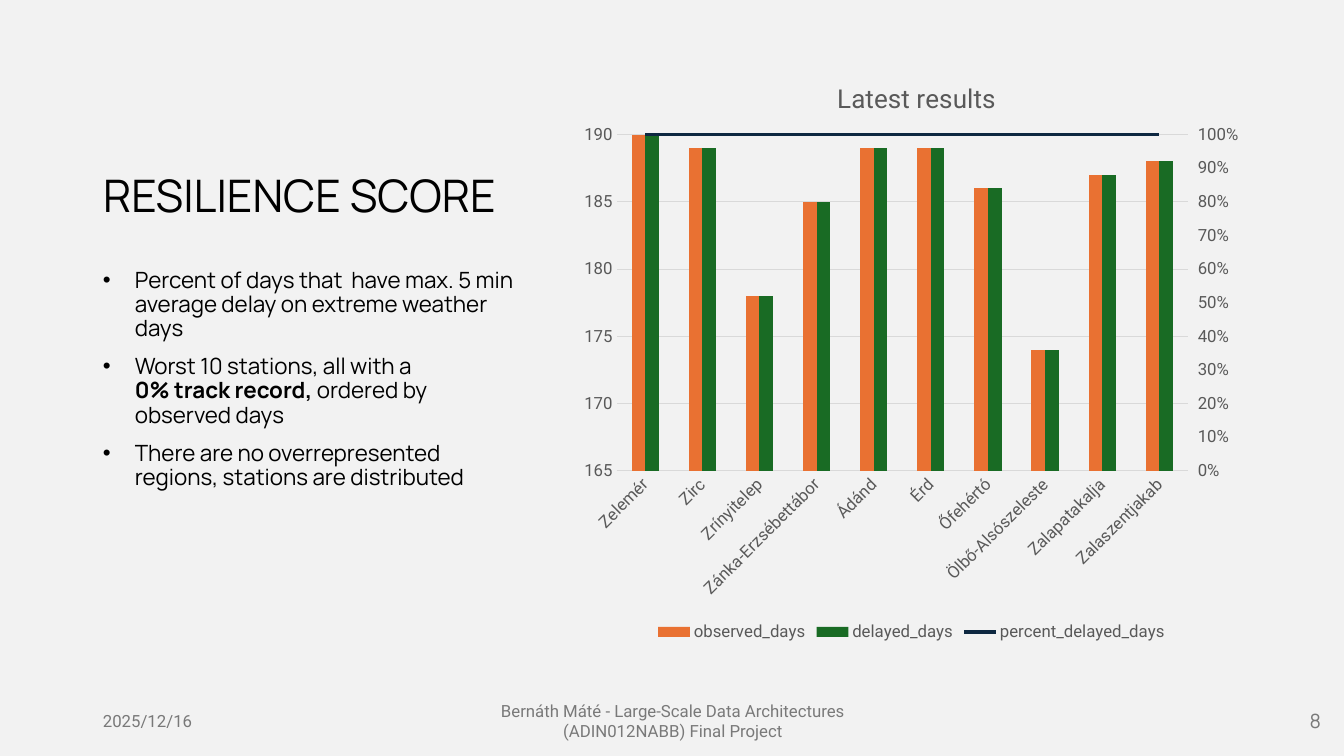
from lxml import etree
from pptx import Presentation
from pptx import util as u
from pptx.chart.data import CategoryChartData
from pptx.dml.color import RGBColor
from pptx.enum import chart as ch
from pptx.enum import text
from pptx.oxml import parse_xml
from pptx.oxml.ns import nsdecls, qn

SCALE = 12192000 / 1344  # EMU per px
HEADING_FONT, LABEL_FONT = "Manrope", "Roboto"
PAPER = RGBColor(0xF2, 0xF2, 0xF2)
BLACK = RGBColor(0, 0, 0)
FOOTER_GREY = RGBColor(0x79, 0x79, 0x79)
LABEL_GREY = RGBColor(0x59, 0x59, 0x59)
GRID_GREY = RGBColor(0xD9, 0xD9, 0xD9)
ORANGE = RGBColor(0xE9, 0x71, 0x32)
GREEN = RGBColor(0x19, 0x6B, 0x24)
NAVY = RGBColor(0x0E, 0x28, 0x41)

STATION_DAYS = {
    "Zelemér": 190, "Zirc": 189, "Zrínyitelep": 178,
    "Zánka-Erzsébettábor": 185, "Ádánd": 189, "Érd": 189,
    "Őfehértó": 186, "Ölbő-Alsószeleste": 174,
    "Zalapatakalja": 187, "Zalaszentjakab": 188,
}
FINDINGS = [
    [("Percent of days that  have max. 5 min average delay on extreme weather days", False)],
    [("Worst 10 stations, all with a\n", False), ("0% track record, ", True),
     ("ordered by observed days", False)],
    [("There are no overrepresented regions, stations are distributed", False)],
]


def px(length):
    return u.Emu(round(length * SCALE))


def set_font(font, size, color=LABEL_GREY, name=LABEL_FONT, bold=False):
    font.size, font.name, font.bold = u.Pt(size), name, bold
    font.color.rgb = color


def write(paragraph, words, align=text.PP_ALIGN.LEFT, **style):
    """Append words to the paragraph; a newline becomes a line break."""
    paragraph.alignment = align
    for number, line in enumerate(words.split("\n")):
        if number:
            paragraph.add_line_break()
        if line:
            run = paragraph.add_run()
            run.text = line
            set_font(run.font, **style)


def add_bullet(paragraph):
    properties = paragraph._p.get_or_add_pPr()
    properties.set("marL", str(px(32)))
    properties.set("indent", str(-px(32)))
    etree.SubElement(properties, qn("a:buFont")).set("typeface", "Arial")
    etree.SubElement(properties, qn("a:buChar")).set("char", "•")


def set_layout(element, **fractions):
    """Give a chart part a manual place, in fractions of the chart."""
    for old in element.findall(qn("c:layout")):
        element.remove(old)
    items = "".join(f'<c:{key} val="{value}"/>' for key, value in fractions.items())
    layout = parse_xml(f'<c:layout {nsdecls("c")}><c:manualLayout>{items}'
                       "</c:manualLayout></c:layout>")
    if element.tag == qn("c:plotArea"):
        element.insert(0, layout)
    else:
        element.find(qn("c:tx")).addnext(layout)


def move_last_series_to_right_axis(chart):
    """Draw the last column series as a line on a percent axis at the right."""
    plot_area = chart._chartSpace.chart.plotArea
    columns = plot_area.find(qn("c:barChart"))
    series = columns.findall(qn("c:ser"))[-1]
    for flag in series.findall(qn("c:invertIfNegative")):
        series.remove(flag)
    line = parse_xml(
        f'<c:lineChart {nsdecls("c")}><c:grouping val="standard"/><c:varyColors val="0"/>'
        '<c:marker val="1"/><c:axId val="501"/><c:axId val="502"/></c:lineChart>')
    line.find(qn("c:varyColors")).addnext(series)
    columns.addnext(line)
    right_axis = parse_xml(
        f'<c:valAx {nsdecls("c", "a")}><c:axId val="502"/>'
        '<c:scaling><c:orientation val="minMax"/><c:max val="1"/><c:min val="0"/></c:scaling>'
        '<c:delete val="0"/><c:axPos val="r"/><c:numFmt formatCode="0%" sourceLinked="0"/>'
        '<c:majorTickMark val="out"/><c:minorTickMark val="none"/><c:tickLblPos val="nextTo"/>'
        '<c:spPr><a:ln><a:noFill/></a:ln></c:spPr>'
        f'<c:txPr><a:bodyPr/><a:p><a:pPr><a:defRPr sz="1200"><a:solidFill>'
        f'<a:srgbClr val="{LABEL_GREY}"/></a:solidFill><a:latin typeface="{LABEL_FONT}"/>'
        '</a:defRPr></a:pPr><a:endParaRPr lang="en-US"/></a:p></c:txPr>'
        '<c:crossAx val="501"/><c:crosses val="max"/><c:crossBetween val="between"/>'
        '<c:majorUnit val="0.1"/></c:valAx>')
    hidden_axis = parse_xml(
        f'<c:catAx {nsdecls("c")}><c:axId val="501"/>'
        '<c:scaling><c:orientation val="minMax"/></c:scaling><c:delete val="1"/>'
        '<c:axPos val="b"/><c:majorTickMark val="none"/><c:minorTickMark val="none"/>'
        '<c:tickLblPos val="nextTo"/><c:crossAx val="502"/><c:crosses val="autoZero"/></c:catAx>')
    left_axis = plot_area.find(qn("c:valAx"))
    left_axis.addnext(right_axis)
    right_axis.addnext(hidden_axis)


class ResilienceSlide:
    def __init__(self, deck):
        self.slide = deck.slides.add_slide(deck.slide_layouts[5])
        fill = self.slide.background.fill
        fill.solid()
        fill.fore_color.rgb = PAPER

    def title(self, words, *place):
        heading = self.slide.shapes.title
        heading.left, heading.top, heading.width, heading.height = map(px, place)
        frame = heading.text_frame
        frame.auto_size = text.MSO_AUTO_SIZE.NONE
        frame.vertical_anchor = text.MSO_ANCHOR.BOTTOM
        frame.paragraphs[0].line_spacing = 0.9
        write(frame.paragraphs[0], words, size=32, color=BLACK, name=HEADING_FONT)

    def text_frame(self, place, anchor):
        frame = self.slide.shapes.add_textbox(*map(px, place)).text_frame
        frame.word_wrap = True
        frame.vertical_anchor = anchor
        return frame

    def bullets(self, items, *place):
        frame = self.text_frame(place, text.MSO_ANCHOR.TOP)
        for number, item in enumerate(items):
            paragraph = frame.add_paragraph() if number else frame.paragraphs[0]
            add_bullet(paragraph)
            paragraph.line_spacing = 0.9
            if number:
                paragraph.space_before = u.Pt(10)
            for words, bold in item:
                write(paragraph, words, size=16, color=BLACK, name=HEADING_FONT, bold=bold)

    def footer(self, words, *place, size=12, **style):
        frame = self.text_frame(place, text.MSO_ANCHOR.MIDDLE)
        write(frame.paragraphs[0], words, size=size, color=FOOTER_GREY, **style)

    def chart(self, heading, *place):
        data = CategoryChartData(number_format="0")
        data.categories = list(STATION_DAYS)
        for name in ("observed_days", "delayed_days"):
            data.add_series(name, STATION_DAYS.values())
        data.add_series("percent_delayed_days", [1] * len(STATION_DAYS), number_format="0%")
        chart = self.slide.shapes.add_chart(
            ch.XL_CHART_TYPE.COLUMN_CLUSTERED, *map(px, place), data).chart
        set_font(chart.font, 10, BLACK)
        chart.has_title = True
        write(chart.chart_title.text_frame.paragraphs[0], heading,
              align=text.PP_ALIGN.CENTER, size=18.6)
        chart.has_legend = True
        chart.legend.position = ch.XL_LEGEND_POSITION.BOTTOM
        chart.legend.include_in_layout = False
        set_font(chart.legend.font, 12)
        self.axes(chart)
        move_last_series_to_right_axis(chart)
        columns, percent = chart.plots
        columns.gap_width, columns.overlap = 219, 0
        columns.vary_by_categories = False
        for series, color in zip(columns.series, (ORANGE, GREEN)):
            series.format.fill.solid()
            series.format.fill.fore_color.rgb = color
        trend = percent.series[0]
        trend.smooth = False
        trend.marker.style = ch.XL_MARKER_STYLE.NONE
        trend.format.line.color.rgb = NAVY
        trend.format.line.width = u.Pt(2.25)
        set_layout(chart._chartSpace.chart.plotArea, layoutTarget="inner", xMode="edge",
                   yMode="edge", x=0.067, y=0.142, w=0.839, h=0.564)
        set_layout(chart.chart_title._element, xMode="edge", yMode="edge", x=0.384, y=0.044)

    def axes(self, chart):
        stations, days = chart.category_axis, chart.value_axis
        for axis in (stations, days):
            axis.major_tick_mark = ch.XL_TICK_MARK.NONE
            set_font(axis.tick_labels.font, 12)
        stations._element.find(qn("c:txPr")).find(qn("a:bodyPr")).set("rot", "-2700000")
        days.minimum_scale, days.maximum_scale, days.major_unit = 165, 190, 5
        days.tick_labels.number_format = "0"
        days.tick_labels.number_format_is_linked = False
        days.format.line.fill.background()
        for line in (stations.format.line, days.major_gridlines.format.line):
            line.color.rgb = GRID_GREY
            line.width = u.Pt(0.75)


def main():
    deck = Presentation()
    deck.slide_width, deck.slide_height = px(1344), px(756)
    page = ResilienceSlide(deck)
    page.title("RESILIENCE SCORE", 93, 50, 433, 177)
    page.chart("Latest results", 571, 50, 681, 596)
    page.bullets(FINDINGS, 93, 264, 433, 382)
    page.footer("2025/12/16", 93, 701, 302, 40)
    page.footer("Bernáth Máté - Large-Scale Data Architectures (ADIN012NABB) Final Project",
                446, 701, 454, 40, align=text.PP_ALIGN.CENTER)
    page.footer("8", 950, 701, 381, 40, size=14, name=HEADING_FONT, align=text.PP_ALIGN.RIGHT)
    deck.save("out.pptx")


if __name__ == "__main__":
    main()
